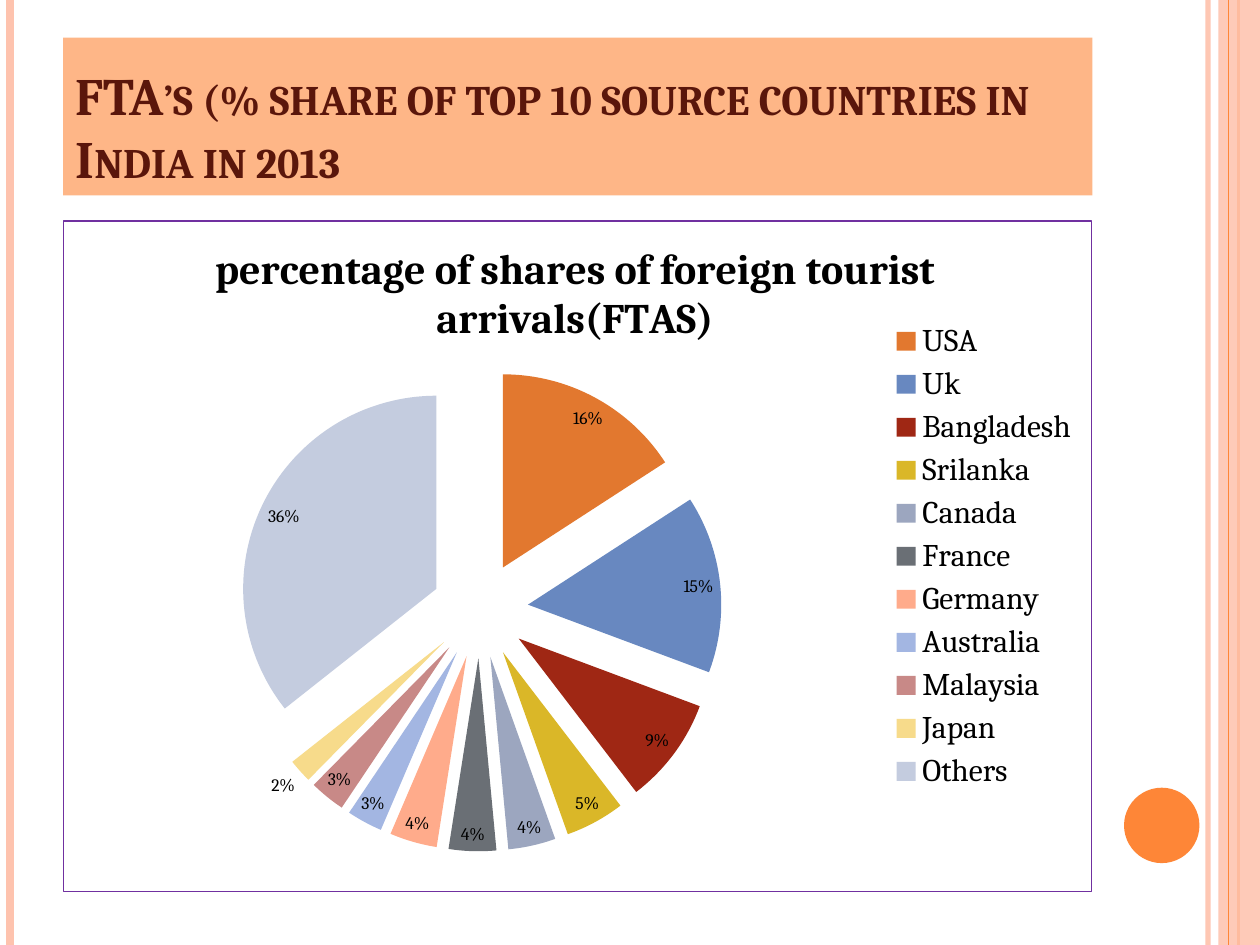
"""Build a slide with an exploded pie of tourist arrivals in India."""
from lxml import etree
from pptx import Presentation
from pptx.chart.data import CategoryChartData
from pptx.dml.color import RGBColor
from pptx.enum.chart import XL_CHART_TYPE, XL_LABEL_POSITION, XL_LEGEND_POSITION
from pptx.enum.shapes import MSO_CONNECTOR, MSO_SHAPE
from pptx.enum.text import MSO_ANCHOR, MSO_AUTO_SIZE, PP_ALIGN
from pptx.oxml import parse_xml
from pptx.oxml.ns import nsdecls, qn
from pptx.util import Cm, Pt

PIE = XL_CHART_TYPE.PIE_EXPLODED
BEST = XL_LABEL_POSITION.BEST_FIT
RIGHT = XL_LEGEND_POSITION.RIGHT
LINE = MSO_CONNECTOR.STRAIGHT
RECT, OVAL = MSO_SHAPE.RECTANGLE, MSO_SHAPE.OVAL
BOTTOM, LEFT = MSO_ANCHOR.BOTTOM, PP_ALIGN.LEFT
FIXED = MSO_AUTO_SIZE.NONE

HEAD = "FTA’s (% share of top 10 source countries in India in 2013"
NAME = "percentage of shares of foreign tourist arrivals(FTAS)"
SHARES = [
    ("USA", 16, "E2782F"),
    ("Uk", 15, "6888C0"),
    ("Bangladesh", 9, "9F2714"),
    ("Srilanka", 5, "DAB728"),
    ("Canada", 4, "9CA6BF"),
    ("France ", 4, "6A6F75"),
    ("Germany", 4, "FFAB8B"),
    ("Australia", 3, "A3B6E2"),
    ("Malaysia", 3, "C88987"),
    ("Japan", 2, "F7DB8B"),
    ("Others", 36, "C4CCDF"),
]
THEME = {
    "font": "Cambria", "ink": "000000", "head": "5A160B", "band": "FEB687",
    "pale": "FEC3AE", "strong": "FE8637", "frame": "7030A0", "page": "FFFFFF",
    "head_pt": 30, "name_pt": 24, "key_pt": 18, "label_pt": 10,
}
WIDE, HIGH = 25.4, 19.05
EDGE, SPAN = 1.27, 20.75
BACK = [
    (24.35, "pale", 3, 93),
    (0.21, "pale", 4.5, 100),
    (24.97, "strong", 1.5, 100),
]
SHAPES = [
    (RECT, (24.56, 0, 0.84, HIGH), "pale", 87),
    (OVAL, (22.66, 15.88, 1.52, 1.52), "strong", 100),
]
FRONT = [(24.77, "strong", 0.75, 100)]
NAME_AT = {"x": 0.14, "y": 0.02}
PLOT_AT = {"x": 0.17, "y": 0.22, "w": 0.47, "h": 0.72}


def tint(key):
    return RGBColor.from_string(THEME[key])


def style(font, size, color="ink", bold=False):
    form = {"name": THEME["font"], "size": Pt(THEME[size]), "bold": bold}
    for key, value in form.items():
        setattr(font, key, value)
    font.color.rgb = tint(color)


def fade(part, alpha):
    if alpha < 100:
        color = next(part.element.spPr.iter(qn("a:srgbClr")))
        etree.SubElement(color, qn("a:alpha")).set("val", str(alpha * 1000))


def add_rules(slide, rules):
    for left, color, width, alpha in rules:
        rule = slide.shapes.add_connector(LINE, Cm(left), 0, Cm(left), Cm(HIGH))
        rule.line.color.rgb = tint(color)
        rule.line.width = Pt(width)
        fade(rule, alpha)
        etree.SubElement(rule.element.spPr, qn("a:effectLst"))


def add_forms(slide):
    for kind, box, color, alpha in SHAPES:
        shape = slide.shapes.add_shape(kind, *map(Cm, box))
        shape.shadow.inherit = False
        shape.fill.solid()
        shape.fill.fore_color.rgb = tint(color)
        fade(shape, alpha)
        shape.line.fill.background()


def add_head(slide):
    title = slide.shapes.title
    box = {"left": EDGE, "top": 0.76, "width": SPAN, "height": 3.18}
    for key, value in box.items():
        setattr(title, key, Cm(value))
    title.fill.solid()
    title.fill.fore_color.rgb = tint("band")
    frame = title.text_frame
    form = {"text": HEAD, "vertical_anchor": BOTTOM, "word_wrap": True,
            "auto_size": FIXED}
    for key, value in form.items():
        setattr(frame, key, value)
    para = frame.paragraphs[0]
    para.alignment = LEFT
    run = para.runs[0]
    style(run.font, "head_pt", "head", True)
    run.font._element.set("cap", "small")


def place(owner, spot, inner=False):
    for old in owner.findall(qn("c:layout")):
        owner.remove(old)
    target = '<c:layoutTarget val="inner"/>' if inner else ""
    modes = '<c:xMode val="edge"/><c:yMode val="edge"/>'
    sizes = "".join(f'<c:{key} val="{value}"/>' for key, value in spot.items())
    layout = parse_xml(f'<c:layout {nsdecls("c")}><c:manualLayout>{target}{modes}'
                       f'{sizes}</c:manualLayout></c:layout>')
    text = owner.find(qn("c:tx"))
    if text is None:
        owner.insert(0, layout)
    else:
        text.addnext(layout)


def add_pie(slide):
    data = CategoryChartData()
    names, values, colors = zip(*SHARES)
    data.categories = names
    data.add_series("Series 1", values)
    box = map(Cm, (EDGE, 4.44, SPAN, 13.55))
    chart = slide.shapes.add_chart(PIE, *box, data).chart
    style(chart.font, "label_pt")

    chart.has_title = True
    chart.chart_title.text_frame.text = NAME
    run = chart.chart_title.text_frame.paragraphs[0].runs[0]
    style(run.font, "name_pt", bold=True)
    place(chart.chart_title._element, NAME_AT)

    chart.has_legend = True
    chart.legend.position = RIGHT
    chart.legend.include_in_layout = False
    style(chart.legend.font, "key_pt")

    plot = chart.plots[0]
    plot.vary_by_categories = True
    plot.has_data_labels = True
    labels = plot.data_labels
    form = {"show_percentage": True, "show_value": False, "position": BEST,
            "number_format": "0%", "number_format_is_linked": False}
    for key, value in form.items():
        setattr(labels, key, value)
    style(labels.font, "label_pt")

    series = plot.series[0]
    for i, color in enumerate(colors):
        fill = series.points[i].format.fill
        fill.solid()
        fill.fore_color.rgb = RGBColor.from_string(color)
    for old in series._element.findall(qn("c:explosion")):
        series._element.remove(old)
    burst = parse_xml(f'<c:explosion {nsdecls("c")} val="25"/>')
    series._element.find(qn("c:dPt")).addprevious(burst)

    space = chart._chartSpace
    place(next(space.iter(qn("c:plotArea"))), PLOT_AT, True)
    page, frame = (f'<a:solidFill><a:srgbClr val="{THEME[key]}"/></a:solidFill>'
                   for key in ("page", "frame"))
    border = parse_xml(
        f'<c:spPr {nsdecls("c", "a")}>{page}<a:ln w="{int(Pt(0.75))}">{frame}'
        '<a:prstDash val="solid"/></a:ln></c:spPr>')
    space.find(qn("c:chart")).addnext(border)


def main():
    deck = Presentation()
    deck.slide_width, deck.slide_height = Cm(WIDE), Cm(HIGH)
    slide = deck.slides.add_slide(deck.slide_layouts[5])
    add_rules(slide, BACK)
    add_forms(slide)
    add_rules(slide, FRONT)
    add_head(slide)
    add_pie(slide)
    deck.save("out.pptx")


if __name__ == "__main__":
    main()
